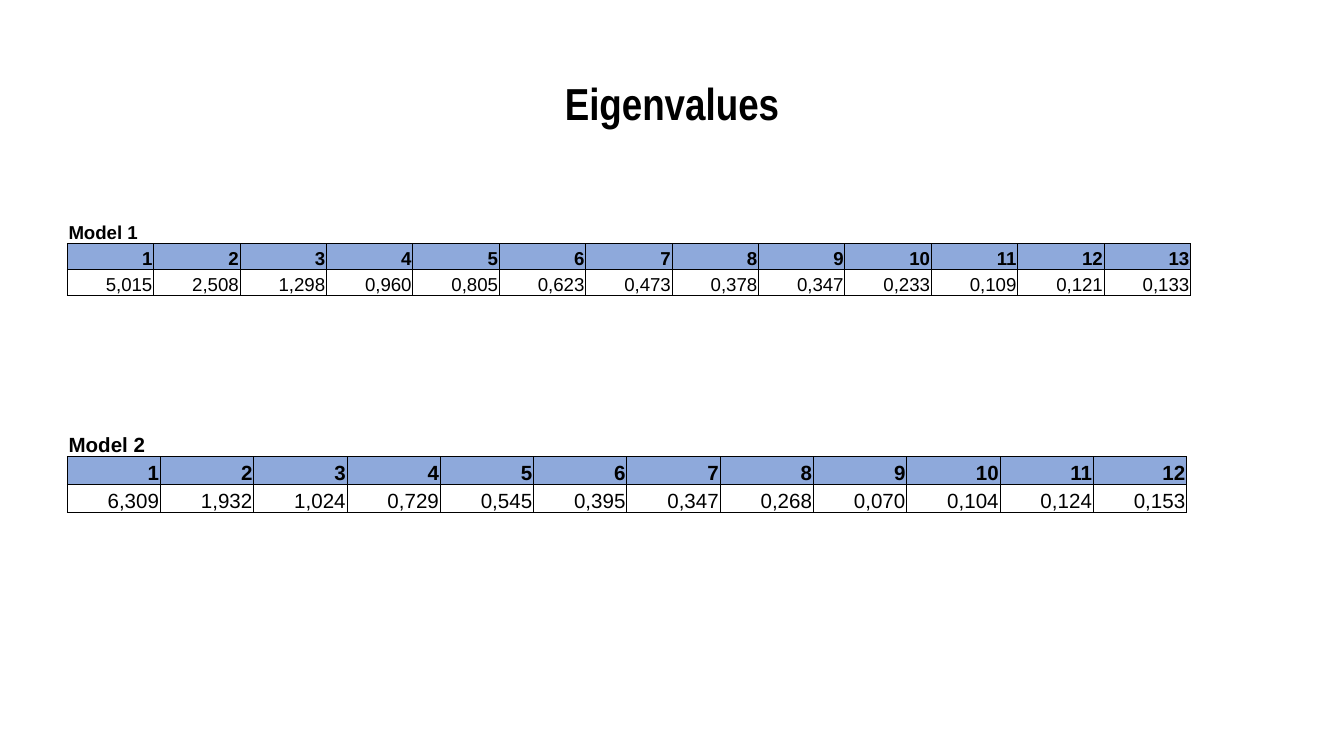
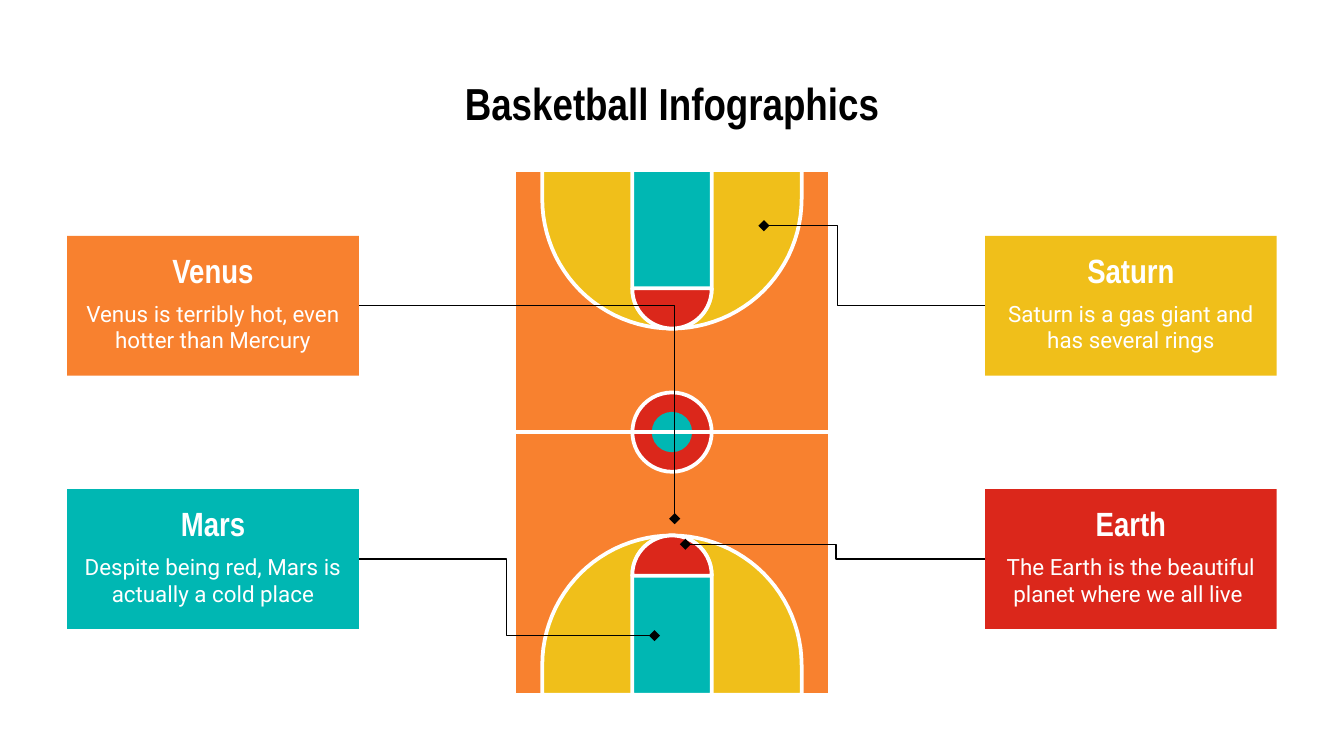
import math

import lxml.etree
import pptx
import pptx.dml.color
import pptx.enum.shapes
import pptx.enum.text
import pptx.oxml.ns
import pptx.util

RGB = pptx.dml.color.RGBColor
BLACK = RGB(0x00, 0x00, 0x00)
WHITE = RGB(0xFF, 0xFF, 0xFF)
BLUE = RGB(0x8E, 0xA9, 0xDB)
ORANGE = RGB(0xF8, 0x81, 0x2F)
TEAL = RGB(0x00, 0xB7, 0xB3)
YELLOW = RGB(0xF0, 0xBF, 0x1A)
RED = RGB(0xDB, 0x27, 0x1B)

HEAD_FONT, BODY_FONT, TABLE_FONT = "Arial Narrow", "Roboto", "Arial"
PX = 4572  # EMU in one px, 200 px to the inch
PLAIN_TABLE = "{2D5ABB26-0587-4C30-8999-92F81FD0307C}"

PP_ALIGN = pptx.enum.text.PP_ALIGN
MSO_ANCHOR = pptx.enum.text.MSO_ANCHOR
MSO_SHAPE = pptx.enum.shapes.MSO_SHAPE
MSO_CONNECTOR = pptx.enum.shapes.MSO_CONNECTOR
qn = pptx.oxml.ns.qn


def px(*values):
    return [pptx.util.Emu(v * PX) for v in values]


def add_xml(parent, tag, **attrs):
    return lxml.etree.SubElement(parent, qn(tag), attrs)


class Deck:
    """Holds the shared style and the slide being drawn."""

    def __init__(self):
        self.prs = pptx.Presentation()
        self.prs.slide_width, self.prs.slide_height = px(2000, 1125)
        self.s = None

    def slide(self, title):
        self.s = self.prs.slides.add_slide(self.prs.slide_layouts[5])
        sp = self.s.shapes.title
        sp.left, sp.top, sp.width, sp.height = px(100, 90, 1800, 126)
        self.fill_text(sp.text_frame, title, HEAD_FONT, 24, BLACK, True, MSO_ANCHOR.MIDDLE)

    def fill_text(self, tf, text, font, size, color, bold=False, anchor=MSO_ANCHOR.TOP):
        tf.text = text
        tf.word_wrap = True
        tf.auto_size = pptx.enum.text.MSO_AUTO_SIZE.NONE
        tf.vertical_anchor = anchor
        tf.margin_left = tf.margin_right = tf.margin_top = tf.margin_bottom = 20 * PX
        p = tf.paragraphs[0]
        p.alignment = PP_ALIGN.CENTER
        self.font(p, font, size, color, bold)

    def font(self, p, name, size, color, bold):
        for r in p.runs:
            r.font.name = name
            r.font.size = pptx.util.Pt(size)
            r.font.bold = bold
            r.font.color.rgb = color

    def text(self, x, y, w, h, text, *style):
        self.fill_text(self.s.shapes.add_textbox(*px(x, y, w, h)).text_frame, text, *style)

    def paint(self, sp, fill, line=None):
        sp.shadow.inherit = False
        sp.fill.solid()
        sp.fill.fore_color.rgb = fill
        if line is None:
            sp.line.fill.background()
        else:
            sp.line.color.rgb = line
            sp.line.width = pptx.util.Pt(2)

    def shape(self, kind, x, y, w, h, fill, line=None):
        sp = self.s.shapes.add_shape(kind, *px(x, y, w, h))
        self.paint(sp, fill, line)
        return sp

    def circle(self, cx, cy, radius, fill, line=None):
        self.shape(MSO_SHAPE.OVAL, cx - radius, cy - radius, 2 * radius, 2 * radius, fill, line)

    def arch(self, cx, radius, apex, base, fill):
        """A half circle at the apex, with straight sides down or up to the base."""
        side = 1 if base > apex else -1
        steps = 48
        angles = [math.pi * i / steps for i in range(steps + 1)]
        curve = [((cx - radius * math.cos(a)) * PX,
                  (apex + side * radius * (1 - math.sin(a))) * PX) for a in angles]
        fb = self.s.shapes.build_freeform(*px(cx - radius, base), scale=1.0)
        fb.add_line_segments(curve + [tuple(px(cx + radius, base))], close=True)
        self.paint(fb.convert_to_shape(), fill, WHITE)

    def line(self, kind, start, end, color, width):
        cxn = self.s.shapes.add_connector(kind, *px(*start, *end))
        cxn.line.color.rgb = color
        cxn.line.width = pptx.util.Pt(width)
        add_xml(cxn._element.spPr, "a:effectLst")
        return cxn

    def pointer(self, start, end, bend=None):
        """An elbow ending in a diamond; without a bend it has a single corner."""
        cxn = self.line(MSO_CONNECTOR.ELBOW, start, end, BLACK, 0.75)
        spPr = cxn._element.spPr
        add_xml(spPr.find(qn("a:ln")), "a:tailEnd", type="diamond")
        geom = spPr.find(qn("a:prstGeom"))
        if bend is None:
            geom.set("prst", "bentConnector2")
        else:
            guides = geom.find(qn("a:avLst"))
            add_xml(guides, "a:gd", name="adj1", fmla=f"val {bend}")

    def card(self, x, y, head, body, fill):
        sp = self.shape(MSO_SHAPE.ROUNDED_RECTANGLE, x, y, 434, 208, fill)
        sp.adjustments[0] = 0
        self.text(x, y + 13, 434, 76, head, HEAD_FONT, 18, WHITE, True, MSO_ANCHOR.MIDDLE)
        self.text(x, y + 75, 434, 120, body, BODY_FONT, 12, WHITE)

    def table(self, y, w, h, caption, values, size):
        n = len(values)
        rows = [[caption] + [""] * (n - 1), [str(i + 1) for i in range(n)], values]
        table = self.s.shapes.add_table(3, n, *px(100, y, w, h)).table
        table.first_row = table.horz_banding = False
        table._tbl.tblPr.find(qn("a:tableStyleId")).text = PLAIN_TABLE
        for col in table.columns:
            col.width = w * PX // n
        for row in table.rows:
            row.height = h * PX // 3
        for i, texts in enumerate(rows):
            for j, text in enumerate(texts):
                self.cell(table.cell(i, j), i, text, size)

    def cell(self, cell, row, text, size):
        cell.text_frame.text = text
        cell.vertical_anchor = MSO_ANCHOR.BOTTOM
        cell.margin_left = cell.margin_right = cell.margin_top = 2 * PX
        cell.margin_bottom = 0
        p = cell.text_frame.paragraphs[0]
        p.alignment = PP_ALIGN.RIGHT if row else PP_ALIGN.LEFT
        self.font(p, TABLE_FONT, size, BLACK, row < 2)
        add_xml(p._p, "a:endParaRPr", sz=str(size * 100))
        # The caption row has only a bottom border
        tcPr = cell._tc.get_or_add_tcPr()
        for edge in ("L", "R", "T", "B") if row else ("B",):
            ln = add_xml(tcPr, f"a:ln{edge}", w="6350")
            add_xml(add_xml(ln, "a:solidFill"), "a:srgbClr", val=str(BLACK))
        if row == 1:
            cell.fill.solid()
            cell.fill.fore_color.rgb = BLUE
        else:
            cell.fill.background()


def eigenvalues(deck):
    deck.slide("Eigenvalues")
    deck.table(324, 1672, 116, "Model 1", [
        "5,015", "2,508", "1,298", "0,960", "0,805", "0,623", "0,473",
        "0,378", "0,347", "0,233", "0,109", "0,121", "0,133"], 10)
    deck.table(638, 1666, 125, "Model 2", [
        "6,309", "1,932", "1,024", "0,729", "0,545", "0,395",
        "0,347", "0,268", "0,070", "0,104", "0,124", "0,153"], 11)


def basketball(deck):
    deck.slide("Basketball Infographics")

    # Court
    mid_x, mid_y = 1000, 643
    deck.shape(MSO_SHAPE.RECTANGLE, 765, 253, 470, 781, ORANGE, WHITE)
    for apex, base, free_throw in ((489, 253, 429), (797, 1034, 857)):
        deck.arch(mid_x, 193, apex, base, YELLOW)
        deck.arch(mid_x, 59, apex, base, TEAL)
        deck.arch(mid_x, 59, apex, free_throw, RED)
    deck.circle(mid_x, mid_y, 59, RED, WHITE)
    deck.circle(mid_x, mid_y, 30, TEAL)
    deck.line(MSO_CONNECTOR.STRAIGHT, (766, mid_y), (1234, mid_y), WHITE, 2)

    # Cards
    left, right, upper, lower = 100, 1466, 351, 728
    deck.card(left, upper, "Venus", "Venus is terribly hot, even hotter than Mercury", ORANGE)
    deck.card(left, lower, "Mars", "Despite being red, Mars is actually a cold place", TEAL)
    deck.card(right, lower, "Earth", "The Earth is the beautiful planet where we all live ", RED)
    deck.card(right, upper, "Saturn", "Saturn is a gas giant and has several rings", YELLOW)

    # Pointers from the cards to the court
    deck.pointer((534, 455), (1004, 772))
    deck.pointer((534, 832), (974, 946), 50000)
    deck.pointer((right, 455), (1137, 336), 66700)
    deck.pointer((right, 832), (1020, 810), 49700)


def main():
    deck = Deck()
    eigenvalues(deck)
    basketball(deck)
    deck.prs.save("out.pptx")


if __name__ == "__main__":
    main()
